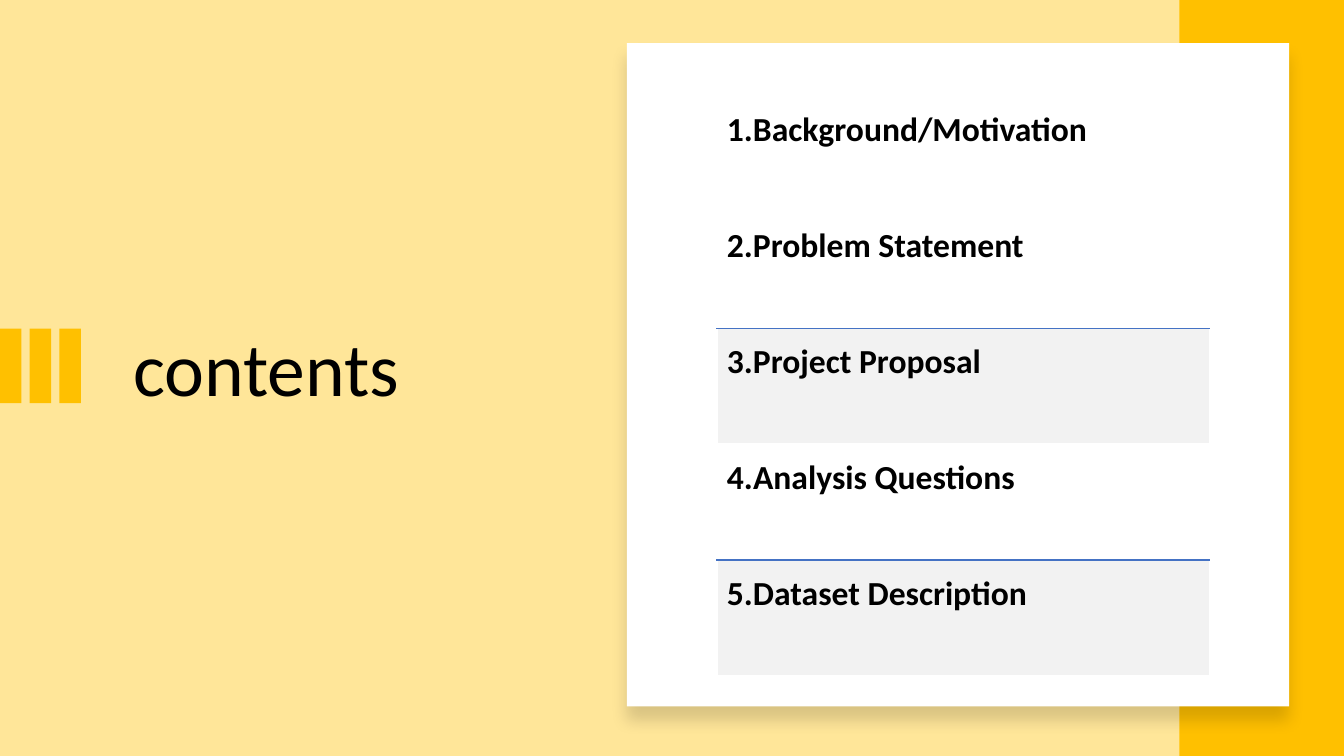
import lxml.etree
import pptx
import pptx.dml.color
import pptx.enum.shapes
import pptx.enum.text
import pptx.oxml
import pptx.oxml.ns
import pptx.util
from pptx.util import Cm

COLORS = {
    "background": "FFE699",
    "accent": "FFC000",
    "card": "FFFFFF",
    "band": "F2F2F2",
    "rule": "4472C4",
    "text": "000000",
}
FONT = "Calibri"
TOPICS = [
    "1.Background/Motivation",
    "2.Problem Statement",
    "3.Project Proposal",
    "4.Analysis Questions",
    "5.Dataset Description",
]
BANDED_ROWS = (2, 4)
FIRST_ROW_HEIGHT = Cm(3.5)
ROW_HEIGHT = Cm(2.92)


def rgb(name):
    return pptx.dml.color.RGBColor.from_string(COLORS[name])


def add_run(paragraph, text, size, bold=False):
    run = paragraph.add_run()
    run.text = text
    run.font.name = FONT
    run.font.size = pptx.util.Pt(size)
    run.font.bold = bold
    run.font.color.rgb = rgb("text")


def add_rectangle(shapes, left, top, width, height, color):
    rectangle = shapes.add_shape(
        pptx.enum.shapes.MSO_SHAPE.RECTANGLE, left, top, width, height
    )
    rectangle.shadow.inherit = False
    rectangle.fill.solid()
    rectangle.fill.fore_color.rgb = rgb(color)
    rectangle.line.fill.background()
    return rectangle


def add_soft_shadow(shape):
    effects = shape._element.spPr.find(pptx.oxml.ns.qn("a:effectLst"))
    effects.append(pptx.oxml.parse_xml(
        f'<a:outerShdw {pptx.oxml.ns.nsdecls("a")} blurRad="{pptx.util.Pt(11)}"'
        f' dist="{pptx.util.Pt(10)}" dir="5400000" algn="t" rotWithShape="0">'
        f'<a:srgbClr val="{COLORS["text"]}"><a:alpha val="15000"/></a:srgbClr>'
        "</a:outerShdw>"
    ))


def set_border(cell, side):
    """Draw a thin rule on one side of a cell; side is T or B."""
    line = pptx.oxml.parse_xml(
        f'<a:ln{side} {pptx.oxml.ns.nsdecls("a")} w="{pptx.util.Pt(1)}">'
        f'<a:solidFill><a:srgbClr val="{COLORS["rule"]}"/></a:solidFill>'
        f"</a:ln{side}>"
    )
    cell._tc.get_or_add_tcPr().insert(0, line)


def add_title(slide, text):
    title = slide.shapes.title
    title.left, title.top = Cm(3.1), Cm(8.23)
    title.width, title.height = Cm(11.2), Cm(6.63)
    frame = title.text_frame
    frame.word_wrap = True
    frame.vertical_anchor = pptx.enum.text.MSO_ANCHOR.TOP
    paragraph = frame.paragraphs[0]
    paragraph.alignment = pptx.enum.text.PP_ALIGN.LEFT
    paragraph.line_spacing = 0.9
    add_run(paragraph, text, 54)


def add_bars(slide):
    group = slide.shapes.add_group_shape()
    for index in range(3):
        add_rectangle(group.shapes, Cm(0.75 * index), Cm(8.28),
                      Cm(0.54), Cm(1.88), "accent")


def format_topic_cell(cell, topic):
    cell.vertical_anchor = pptx.enum.text.MSO_ANCHOR.BOTTOM
    cell.margin_left = cell.margin_right = Cm(0.25)
    cell.margin_top, cell.margin_bottom = Cm(0.28), Cm(1.55)
    cell.fill.background()
    add_run(cell.text_frame.paragraphs[0], topic, 24, bold=True)


def add_topics_table(slide):
    height = FIRST_ROW_HEIGHT + ROW_HEIGHT * (len(TOPICS) - 1)
    table = slide.shapes.add_table(
        len(TOPICS), 1, Cm(18.07), Cm(1.85), Cm(12.42), height
    ).table
    table.first_row = False
    table.horz_banding = False
    for index, topic in enumerate(TOPICS):
        table.rows[index].height = ROW_HEIGHT if index else FIRST_ROW_HEIGHT
        format_topic_cell(table.cell(index, 0), topic)
    for index in BANDED_ROWS:
        cell = table.cell(index, 0)
        cell.fill.solid()
        cell.fill.fore_color.rgb = rgb("band")
        set_border(cell, "T")
        set_border(table.cell(index - 1, 0), "B")


def main():
    presentation = pptx.Presentation()
    presentation.slide_width = Cm(33.87)
    presentation.slide_height = Cm(19.05)
    slide = presentation.slides.add_slide(presentation.slide_layouts[5])
    slide.background.fill.solid()
    slide.background.fill.fore_color.rgb = rgb("background")

    add_title(slide, "contents")
    add_bars(slide)
    add_rectangle(slide.shapes, Cm(29.72), 0, Cm(4.15),
                  presentation.slide_height, "accent")
    card = add_rectangle(slide.shapes, Cm(15.8), Cm(1.09),
                         Cm(16.69), Cm(16.71), "card")
    add_soft_shadow(card)
    add_topics_table(slide)
    presentation.save("out.pptx")


if __name__ == "__main__":
    main()
